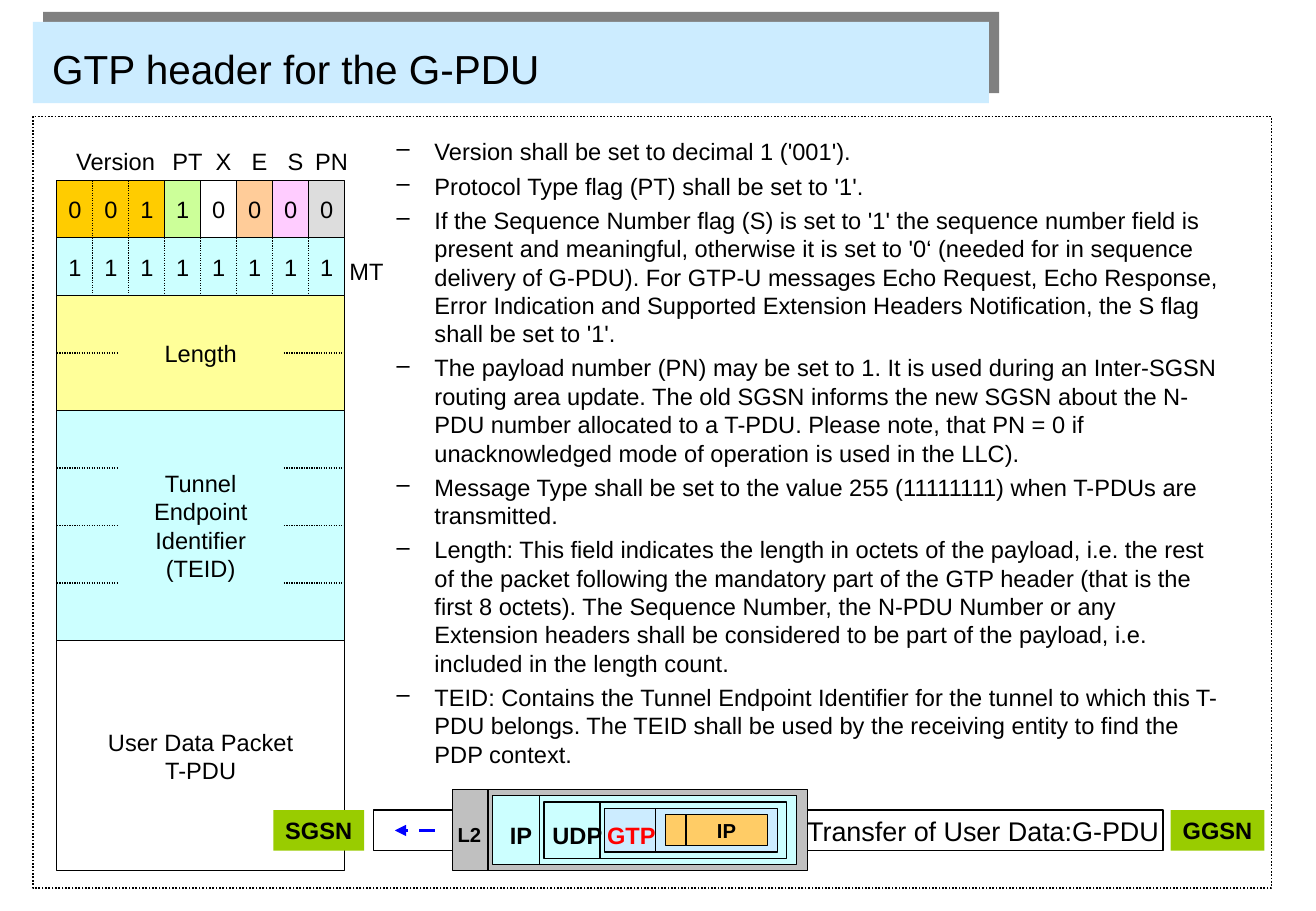
from dataclasses import dataclass

from lxml.etree import SubElement
from pptx import Presentation
from pptx.dml.color import RGBColor as RGB
from pptx.enum.dml import MSO_LINE as Dash
from pptx.enum.shapes import MSO_CONNECTOR as Link, MSO_SHAPE as Kind
from pptx.enum.text import MSO_ANCHOR as Anchor, PP_ALIGN as Align
from pptx.oxml.ns import qn
from pptx.util import Cm, Pt


@dataclass(frozen=True)
class Theme:
    font: str = "Arial"
    ink: str = "000000"
    paper: str = "FFFFFF"
    shade: str = "808080"
    sky: str = "CCECFF"
    aqua: str = "CCFFFF"
    gold: str = "FFCC00"
    lime: str = "CCFF99"
    peach: str = "FFCC99"
    pink: str = "FFCCFF"
    mist: str = "DDDDDD"
    lemon: str = "FFFF99"
    green: str = "99CC00"
    grey: str = "C0C0C0"
    amber: str = "FFCC66"
    red: str = "FF0000"
    blue: str = "0000FF"
    title: int = 24
    large: int = 16
    body: int = 14
    small: int = 12
    thin: float = 0.75


THEME = Theme()

FLAGS = [  # label, bits, fill
    ("Version", "001", THEME.gold),
    ("PT", "1", THEME.lime),
    ("X", "0", THEME.paper),
    ("E", "0", THEME.peach),
    ("S", "0", THEME.pink),
    ("PN", "0", THEME.mist),
]
FIELDS = [  # text, first octet, octets, fill
    ("Length", 2, 2, THEME.lemon),
    ("Tunnel\vEndpoint\vIdentifier\v(TEID)", 4, 4, THEME.aqua),
    ("User Data Packet\nT-PDU", 8, 4, None),
]
LAYERS = [  # label, left, right, divider, label centre, fill, size, colour
    ("L2", 0, 7.42, 0.74, 0.35, THEME.grey, THEME.small, THEME.ink),
    ("IP", 0.84, 7.19, 1.81, 1.43, THEME.aqua, THEME.body, THEME.ink),
    ("UDP", 1.91, 6.99, 3.08, 2.61, THEME.aqua, THEME.body, THEME.ink),
    ("GTP", 3.18, 6.79, 4.25, 3.74, THEME.sky, THEME.body, THEME.red),
]
NOTES = [
    "Version shall be set to decimal 1 ('001').",
    "Protocol Type flag (PT) shall be set to '1'.",
    "If the Sequence Number flag (S) is set to '1' the sequence number field is "
    "present and meaningful, otherwise it is set to '0‘ (needed for in sequence "
    "delivery of G-PDU). For GTP-U messages Echo Request, Echo Response, Error "
    "Indication and Supported Extension Headers Notification, the S flag shall "
    "be set to '1'.",
    "The payload number (PN) may be set to 1. It is used during an Inter-SGSN "
    "routing area update. The old SGSN informs the new SGSN about the N-PDU "
    "number allocated to a T-PDU. Please note, that PN = 0 if unacknowledged "
    "mode of operation is used in the LLC).",
    "Message Type shall be set to the value 255 (11111111) when T-PDUs are "
    "transmitted.",
    "Length: This field indicates the length in octets of the payload, i.e. the "
    "rest of the packet following the mandatory part of the GTP header (that is "
    "the first 8 octets). The Sequence Number, the N-PDU Number or any Extension "
    "headers shall be considered to be part of the payload, i.e. included in the "
    "length count.",
    "TEID: Contains the Tunnel Endpoint Identifier for the tunnel to which this "
    "T-PDU belongs. The TEID shall be used by the receiving entity to find the "
    "PDP context.",
]


def write(frame, text, size=THEME.body, color=THEME.ink, bold=False,
          align=Align.CENTER, wrap=False, pad=0):
    """Fill a frame; a newline starts a paragraph, a vertical tab a line."""
    frame.word_wrap = wrap
    frame.vertical_anchor = Anchor.MIDDLE
    frame.margin_left = frame.margin_right = Cm(pad)
    frame.margin_top = frame.margin_bottom = Cm(0.13)
    for i, part in enumerate(text.split("\n")):
        para = frame.add_paragraph() if i else frame.paragraphs[0]
        para.alignment = align
        for j, line in enumerate(part.split("\v")):
            if j:
                para.add_line_break()
            run = para.add_run()
            run.text = line
            font = run.font
            font.name, font.size, font.bold = THEME.font, Pt(size), bold
            font.color.rgb = RGB.from_string(color)


def block(shapes, box, fill=None, line=True, text="", **style):
    shape = shapes.add_shape(Kind.RECTANGLE, *map(Cm, box))
    shape.shadow.inherit = False
    if fill:
        shape.fill.solid()
        shape.fill.fore_color.rgb = RGB.from_string(fill)
    else:
        shape.fill.background()
    if line:
        shape.line.color.rgb = RGB.from_string(THEME.ink)
        shape.line.width = Pt(THEME.thin)
    else:
        shape.line.fill.background()
    if text:
        write(shape.text_frame, text, **style)
    return shape


def label(shapes, box, text, **style):
    write(shapes.add_textbox(*map(Cm, box)).text_frame, text, **style)


def rule(shapes, start, end, dash=None, color=THEME.ink, width=THEME.thin):
    link = shapes.add_connector(Link.STRAIGHT, *map(Cm, start + end))
    link.line.color.rgb = RGB.from_string(color)
    link.line.width = Pt(width)
    if dash:
        link.line.dash_style = dash
    SubElement(link.element.spPr, qn("a:effectLst"))
    return link


def banner(slide, box):
    x, y, w, h = box
    panel = block(slide.shapes, box, THEME.sky, line=False)
    cast = SubElement(panel.element.spPr.find(qn("a:effectLst")),
                      qn("a:outerShdw"), dist=str(Pt(8.5)), dir="18900000",
                      algn="ctr", rotWithShape="0")
    SubElement(cast, qn("a:srgbClr"), val=THEME.shade)
    title = slide.shapes.title
    title.left, title.top = Cm(x + 0.15), Cm(y + 0.25)
    title.width, title.height = Cm(w - 0.11), Cm(h - 0.28)
    write(title.text_frame, "GTP header for the G-PDU", THEME.title,
          align=Align.LEFT, wrap=True, pad=0.25)
    panel.element.addnext(title.element)


def header(shapes, box):
    """Draw the header as twelve octets of eight bits."""
    x, y, w, h = box
    bit, octet = w / 8, h / 12
    mid = y + octet

    block(shapes, (x, mid, w, octet), THEME.aqua)
    for i in range(8):
        label(shapes, (x + i * bit, mid, bit, octet), "1")
    label(shapes, (x + w + 0.08, mid + 0.1, bit, octet), "MT")

    col = 0
    for name, bits, fill in FLAGS:
        left, wide = x + col * bit, len(bits) * bit
        block(shapes, (left, y, wide, octet), fill)
        label(shapes, (left + 0.1, y - 1, wide, octet), name)
        for i, digit in enumerate(bits):
            label(shapes, (left + i * bit, y, bit, octet), digit)
        col += len(bits)
    for i in range(1, 8):
        top = y if i < 3 else mid
        rule(shapes, (x + i * bit, top), (x + i * bit, mid + octet),
             Dash.ROUND_DOT)

    for text, first, count, fill in FIELDS:
        top = y + first * octet
        block(shapes, (x, top, w, count * octet), fill, text=text)
        for i in range(1, count if fill else 1):
            for left in (x, x + w - 1.27):
                rule(shapes, (left, top + i * octet),
                     (left + 1.27, top + i * octet), Dash.ROUND_DOT)


def notes(shapes, box):
    frame = shapes.add_textbox(*map(Cm, box)).text_frame
    write(frame, "\n".join(NOTES), align=Align.LEFT, wrap=True, pad=0.25)
    frame.vertical_anchor = Anchor.TOP
    for i, para in enumerate(frame.paragraphs):
        props = para._p.get_or_add_pPr()
        props.set("marL", str(Cm(2.06)))
        props.set("indent", str(-Cm(0.79)))
        SubElement(props, qn("a:buChar"), char="–")
        para.space_before = Pt(3.5 if i else 0)


def packet(shapes, box):
    """Nest the protocol layers, each one step further in."""
    x, y, w, h = box
    step = 0.13
    for i, (_, left, right, cut, _, fill, _, _) in enumerate(LAYERS):
        top, low = y + i * step, y + h - i * step
        block(shapes, (x + left, top, right - left, low - top), fill)
        rule(shapes, (x + cut, top), (x + cut, low))
    top, tall = y + 4 * step, h - 8 * step
    block(shapes, (x + 4.45, top, 0.43, tall), THEME.amber)
    block(shapes, (x + 4.88, top, 1.7, tall), THEME.amber, text="IP",
          size=THEME.small, bold=True)
    for name, _, _, _, mid, _, size, color in LAYERS:
        label(shapes, (x + mid - 0.75, y + 0.1, 1.5, h), name,
              size=size, color=color, bold=True)


def transfer(shapes, box):
    x, y, w, h = box
    for left, wide, name in ((x, 1.9, "SGSN"), (x + w - 1.96, 1.96, "GGSN")):
        block(shapes, (left, y, wide, h), THEME.green, False, name, bold=True)
    block(shapes, (x + 2.1, y, w - 4.22, h), text="Transfer of User Data:G-PDU",
          size=THEME.large, align=Align.RIGHT, pad=0.08)
    packet(shapes.add_group_shape().shapes, (x + 3.75, y - 0.43, 7.42, 1.7))
    mid = y + h / 2
    arrow = rule(shapes, (x + 3.37, mid), (x + 2.54, mid), Dash.DASH,
                 THEME.blue, 2.25)
    SubElement(arrow.element.spPr.find(qn("a:ln")), qn("a:tailEnd"),
               type="triangle")


def main():
    deck = Presentation()
    deck.slide_width, deck.slide_height = Cm(27.53), Cm(19.05)
    slide = deck.slides.add_slide(deck.slide_layouts[5])
    shapes = slide.shapes
    banner(slide, (0.69, 0.46, 20, 1.7))
    frame = block(shapes, (0.69, 2.44, 25.91, 16.13))
    frame.line.width, frame.line.dash_style = Pt(1), Dash.ROUND_DOT
    header(shapes, (1.19, 3.77, 6.02, 14.44))
    notes(shapes, (6.78, 2.74, 19.05, 14.17))
    transfer(shapes, (5.72, 16.94, 20.73, 0.85))
    deck.save("out.pptx")


if __name__ == "__main__":
    main()
